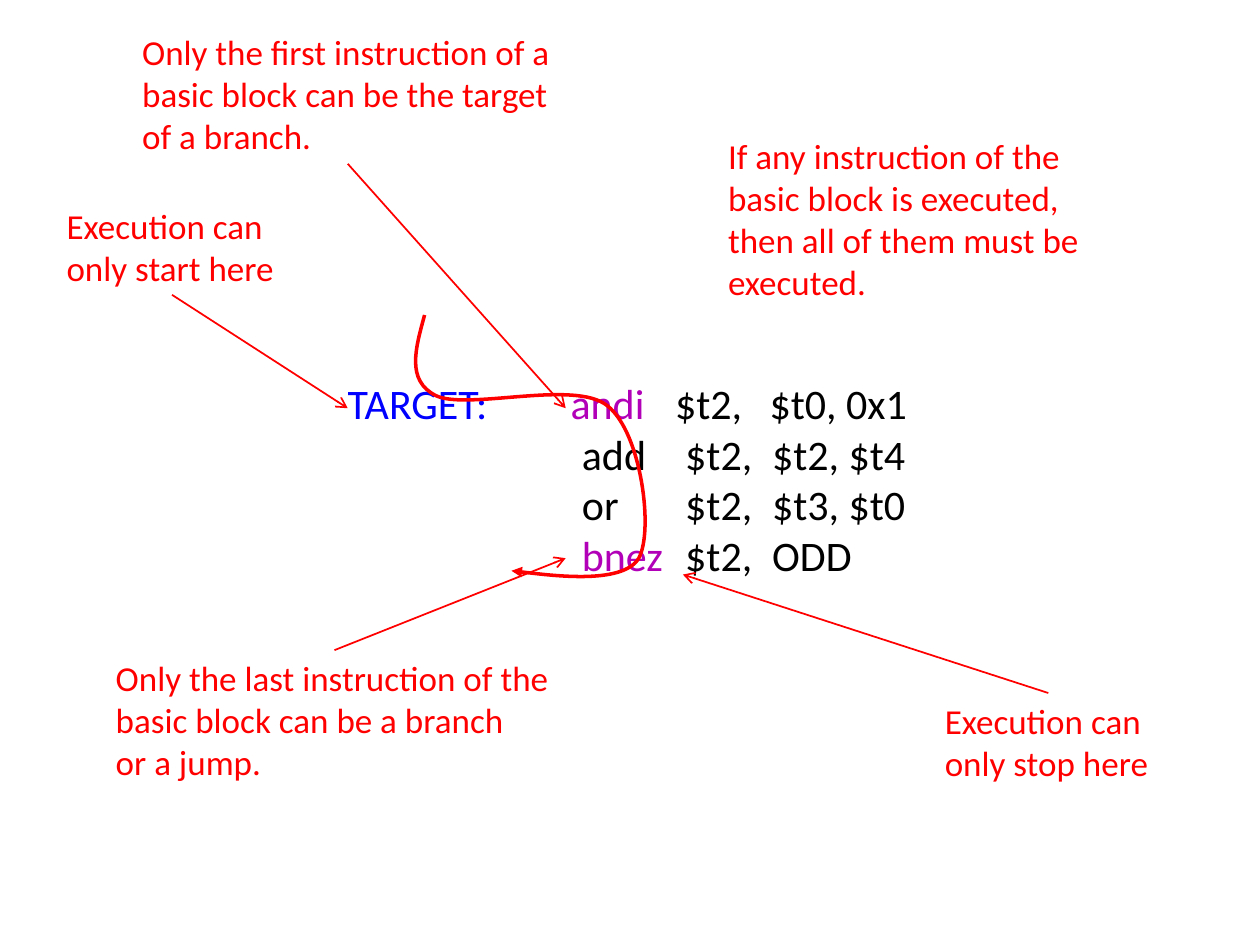
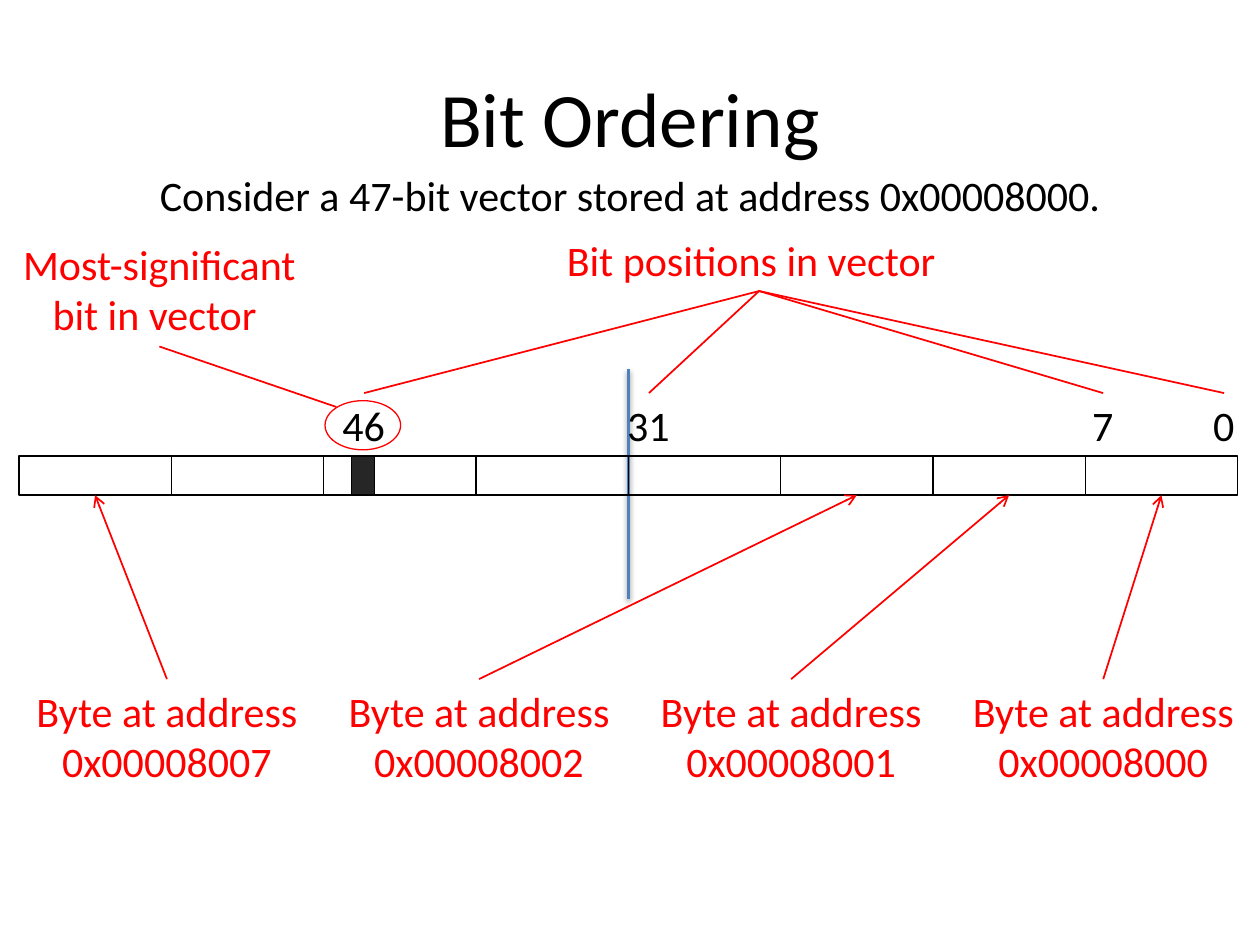
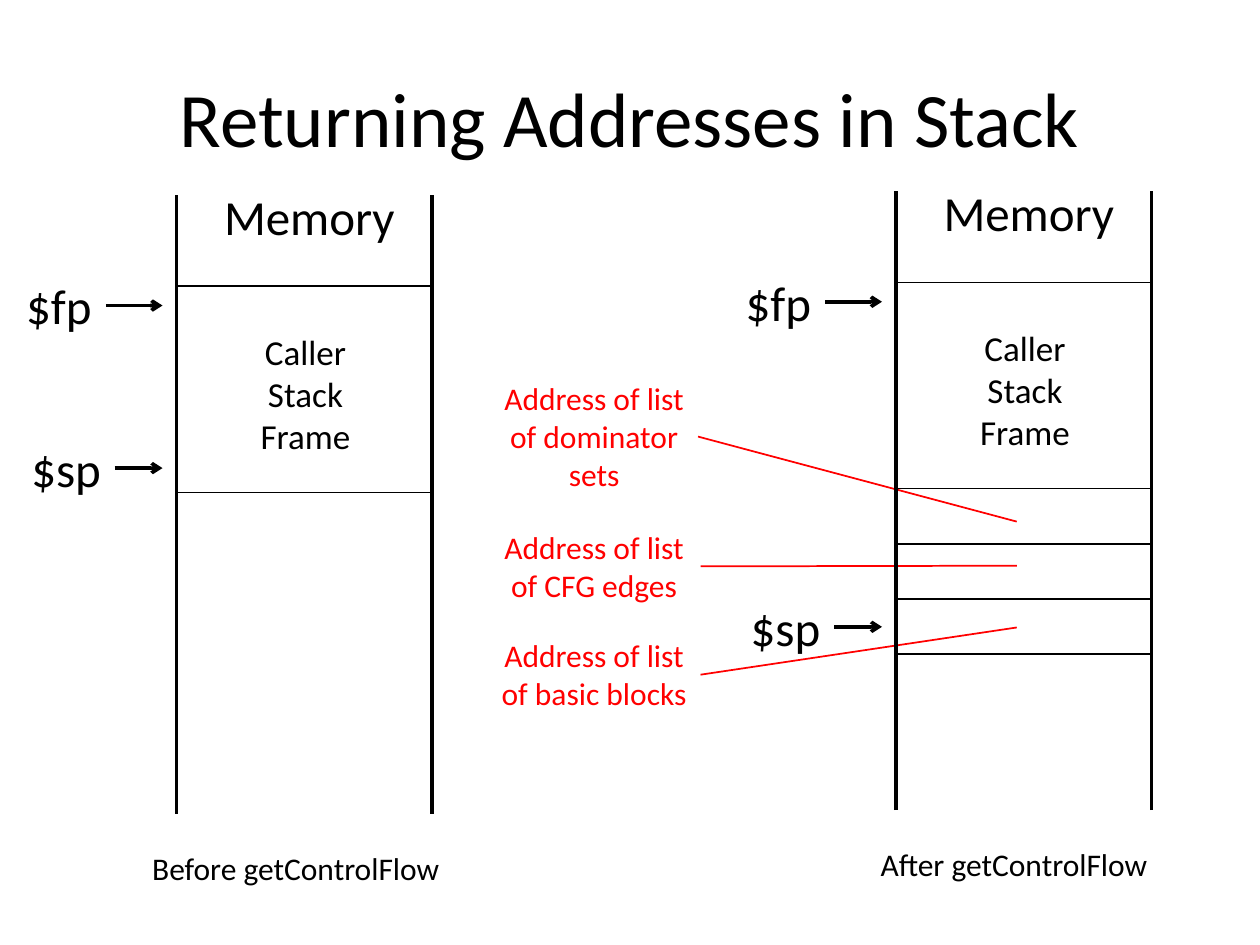
from lxml import etree
from pptx import Presentation
from pptx.dml.color import RGBColor
from pptx.enum.shapes import MSO_CONNECTOR, MSO_SHAPE
from pptx.enum.text import MSO_ANCHOR, MSO_AUTO_SIZE, PP_ALIGN
from pptx.oxml.ns import qn
from pptx.util import Inches, Pt

LEFT, CENTER = PP_ALIGN.LEFT, PP_ALIGN.CENTER
MIDDLE = MSO_ANCHOR.MIDDLE
FIT_SHAPE = MSO_AUTO_SIZE.SHAPE_TO_FIT_TEXT
STRAIGHT = MSO_CONNECTOR.STRAIGHT
RECTANGLE, ELLIPSE = MSO_SHAPE.RECTANGLE, MSO_SHAPE.OVAL
TOP_SIDE, BOTTOM_SIDE, RIGHT_SIDE = 0, 2, 3
TITLE_ONLY, BLANK = 5, 6

FONT = "Calibri"
COLORS = {
    "text": "000000",
    "note": "FF0000",
    "label": "0000FF",
    "branch": "B100B7",
    "divider": "4F81BD",
    "bit": "262626",
}


def color_of(name):
    return RGBColor.from_string(COLORS[name])


class SlideBuilder:
    def __init__(self, deck):
        self.deck = deck
        self.page = None

    def new_page(self, title=None):
        layout = BLANK if title is None else TITLE_ONLY
        self.page = self.deck.slides.add_slide(self.deck.slide_layouts[layout])
        if title is None:
            return
        box = self.page.shapes.title
        box.left, box.top = Inches(0.5), Inches(0.3)
        box.width, box.height = Inches(9), Inches(1.25)
        box.text_frame.vertical_anchor = MIDDLE
        para = box.text_frame.paragraphs[0]
        para.alignment = CENTER
        self.span(para, title, 44, "text")

    def span(self, para, text, size, color):
        span = para.add_run()
        span.text = text
        span.font.name = FONT
        span.font.size = Pt(size)
        span.font.color.rgb = color_of(color)

    def text(self, left, top, width, height, lines, size, color="text", align=LEFT):
        box = self.page.shapes.add_textbox(
            Inches(left), Inches(top), Inches(width), Inches(height))
        frame = box.text_frame
        frame.word_wrap = False
        frame.auto_size = FIT_SHAPE
        for index, line in enumerate(lines):
            para = frame.paragraphs[0] if index == 0 else frame.add_paragraph()
            para.alignment = align
            self.span(para, line, size, color)
        return box

    def code(self, left, top, width, height, rows, size):
        """Each row is its tab stops in inches and its (text, color) spans."""
        box = self.page.shapes.add_textbox(
            Inches(left), Inches(top), Inches(width), Inches(height))
        frame = box.text_frame
        frame.word_wrap = True
        for index, (stops, spans) in enumerate(rows):
            para = frame.paragraphs[0] if index == 0 else frame.add_paragraph()
            para.alignment = LEFT
            for text, color in spans:
                self.span(para, text, size, color)
            properties = para._p.get_or_add_pPr()
            tabs = etree.SubElement(properties, qn("a:tabLst"))
            for stop in stops:
                etree.SubElement(tabs, qn("a:tab"), pos=str(Inches(stop)), algn="l")

    def outline(self, shape, color, weight):
        shape.shadow.inherit = False
        shape.fill.background()
        shape.line.color.rgb = color_of(color)
        shape.line.width = Pt(weight)

    def shape(self, kind, left, top, width, height, color="text", fill=None):
        shape = self.page.shapes.add_shape(
            kind, Inches(left), Inches(top), Inches(width), Inches(height))
        self.outline(shape, color, 0.75)
        if fill:
            shape.fill.solid()
            shape.fill.fore_color.rgb = color_of(fill)
        return shape

    def arrowhead(self, shape, kind):
        etree.SubElement(shape.line._get_or_add_ln(), qn("a:tailEnd"), type=kind)

    def line(self, start, end, color="note", weight=1, arrow=False, shadow=False):
        """Each end is an (x, y) point or a (shape, side) joint."""
        joints = [not isinstance(spot[0], (int, float)) for spot in (start, end)]
        points = [(0, 0) if joined else spot
                  for joined, spot in zip(joints, (start, end))]
        link = self.page.shapes.add_connector(
            STRAIGHT, *(Inches(value) for point in points for value in point))
        if joints[0]:
            link.begin_connect(*start)
        if joints[1]:
            link.end_connect(*end)
        link.line.color.rgb = color_of(color)
        link.line.width = Pt(weight)
        if arrow:
            self.arrowhead(link, "arrow")
        effects = etree.SubElement(link._element.spPr, qn("a:effectLst"))
        if shadow:
            cast = etree.SubElement(
                effects, qn("a:outerShdw"), blurRad=str(Pt(3.1)), dist=str(Pt(1.6)),
                dir="5400000", rotWithShape="0")
            black = etree.SubElement(cast, qn("a:srgbClr"), val=COLORS["text"])
            etree.SubElement(black, qn("a:alpha"), val="38000")

    def curve(self, points, color, weight):
        """Draw cubic curves: a start point, then three points per curve."""
        spots = [(Inches(x), Inches(y)) for x, y in points]
        builder = self.page.shapes.build_freeform(*spots[0])
        builder.add_line_segments(spots[1:], close=False)
        shape = builder.convert_to_shape()
        outline = shape._element.find(".//" + qn("a:path"))
        segments = outline.findall(qn("a:lnTo"))
        for first in range(0, len(segments), 3):
            bend = etree.SubElement(outline, qn("a:cubicBezTo"))
            for segment in segments[first:first + 3]:
                bend.append(segment[0])
                outline.remove(segment)
        self.outline(shape, color, weight)
        self.arrowhead(shape, "triangle")


def basic_block(slide):
    slide.new_page()
    first_stops, next_stops = (1.77, 2.6, 3.35), (1.86, 2.68, 3.37)
    slide.code(2.66, 2.95, 4.75, 2.12, [
        (first_stops, [("TARGET:\t", "label"), ("andi", "branch"),
                       ("\t$t2,\t$t0, 0x1", "text")]),
        (next_stops, [("\tadd\t$t2,\t$t2, $t4", "text")]),
        (next_stops, [("\tor\t$t2,\t$t3, $t0", "text")]),
        (next_stops, [("\t", "text"), ("bnez", "branch"), ("\t$t2,\tODD", "text")]),
    ], 24)
    slide.text(5.68, 1.02, 3.01, 1.45, [
        "If any instruction of the", "basic block is executed,",
        "then all of them must be", "executed."], 20, "note")
    slide.curve([
        (3.37, 2.5), (3.3, 2.76), (3.22, 3.02), (3.46, 3.14),
        (3.71, 3.26), (4.56, 3.01), (4.82, 3.22),
        (5.09, 3.43), (5.19, 4.21), (5.07, 4.43),
        (4.94, 4.65), (4.06, 4.53), (4.06, 4.53)], "note", 2)
    notes = [
        ((7.4, 5.5, 1.84, 0.77), ["Execution can", "only stop here"],
         TOP_SIDE, (5.42, 4.56)),
        ((0.43, 1.57, 1.87, 0.77), ["Execution can", "only start here"],
         BOTTOM_SIDE, (2.76, 3.24)),
        ((1.03, 0.19, 3.46, 1.11),
         ["Only the first instruction of a", "basic block can be the target",
          "of a branch."], BOTTOM_SIDE, (4.49, 3.24)),
        ((0.82, 5.16, 3.67, 1.11),
         ["Only the last instruction of the", "basic block can be a branch",
          "or a jump."], TOP_SIDE, (4.49, 4.43)),
    ]
    for place, lines, side, target in notes:
        note = slide.text(*place, lines, 20, "note")
        slide.line((note, side), target, arrow=True)


def bit_ordering(slide):
    slide.new_page("Bit Ordering")
    slide.text(1.17, 1.3, 7.77, 0.5,
               ["Consider a 47-bit vector stored at address 0x00008000."], 24)
    slide.line((4.99, 4.75), (4.99, 2.93), "divider", 2, shadow=True)

    byte_count, byte_width, byte_top, byte_height = 8, 1.21, 3.62, 0.31
    cells = [slide.shape(RECTANGLE, 0.15 + index * 1.209, byte_top,
                         byte_width, byte_height) for index in range(byte_count)]
    slide.shape(RECTANGLE, 2.79, byte_top, 0.18, byte_height, fill="bit")

    positions = [slide.text(left, 3.12, width, 0.5, [number], 24)
                 for number, left, width in (("0", 9.53, 0.37), ("7", 8.57, 0.37),
                                             ("31", 4.88, 0.54), ("46", 2.62, 0.54))]
    heading = slide.text(4.4, 1.81, 3.25, 0.5, ["Bit positions in vector"], 24, "note")
    for position in positions:
        slide.line((position, TOP_SIDE), (heading, BOTTOM_SIDE))

    for column, byte in enumerate((7, 2, 1, 0)):
        label = slide.text(0.17 + column * 2.477, 5.39, 2.31, 0.91,
                           ["Byte at address", f"0x0000800{byte}"], 24, "note", CENTER)
        cell = cells[byte_count - 1 - byte]
        slide.line((label, TOP_SIDE), (cell, BOTTOM_SIDE), arrow=True)

    slide.shape(ELLIPSE, 2.58, 3.18, 0.6, 0.39, "note")
    label = slide.text(0.06, 1.84, 2.41, 0.91,
                       ["Most-significant ", "bit in vector "], 24, "note", CENTER)
    slide.line((label, BOTTOM_SIDE), (2.67, 3.23))


def memory_stack(slide, left, top, pointer_drop):
    """Draw the memory column and its $fp and $sp pointers."""
    width = 2.03
    for side in (left + width, left):
        slide.line((side, top + 4.91), (side, top), "text", 2)
    slide.shape(RECTANGLE, left, top + 0.72, width, 1.64)
    slide.text(left + 0.28, top - 0.12, 1.58, 0.57, ["Memory"], 28)
    for name, offset, drop, label_width in (("$fp", -1.29, 0.59, 0.73),
                                            ("$sp", -1.25, pointer_drop, 0.76)):
        pointer = slide.text(left + offset, top + drop, label_width, 0.57, [name], 28)
        slide.line((pointer, RIGHT_SIDE), (left - 0.11, top + drop + 0.285),
                   "text", 2, arrow=True)
    slide.text(left + 0.56, top + 1.02, 0.93, 1.11,
               ["Caller", "Stack", "Frame"], 20, align=CENTER)


def returning_addresses(slide):
    slide.new_page("Returning Addresses in Stack")
    memory_stack(slide, 1.4, 1.55, 1.88)
    slide.text(1.11, 6.69, 2.53, 0.4, ["Before getControlFlow"], 18)

    entries = [
        ((3.87, 5, 1.69, 0.71), ["Address of list", "of basic blocks"], 4.98),
        ((3.87, 4.14, 1.69, 0.71), ["Address of list", "of CFG edges"], 4.49),
        ((3.89, 2.96, 1.65, 1.01), ["Address of list", "of dominator", "sets"], 4.14),
    ]
    for place, lines, target in entries:
        label = slide.text(*place, lines, 18, "note", CENTER)
        slide.line((label, RIGHT_SIDE), (8.07, target))

    memory_stack(slide, 7.11, 1.52, 3.17)
    for row in range(len(entries)):
        slide.shape(RECTANGLE, 7.11, 3.88 + row * 0.435, 2.03, 0.44)
    slide.text(6.89, 6.66, 2.35, 0.4, ["After getControlFlow"], 18)


def main():
    deck = Presentation()
    deck.slide_width, deck.slide_height = Inches(10), Inches(7.5)
    slide = SlideBuilder(deck)
    basic_block(slide)
    bit_ordering(slide)
    returning_addresses(slide)
    deck.save("out.pptx")


if __name__ == "__main__":
    main()
